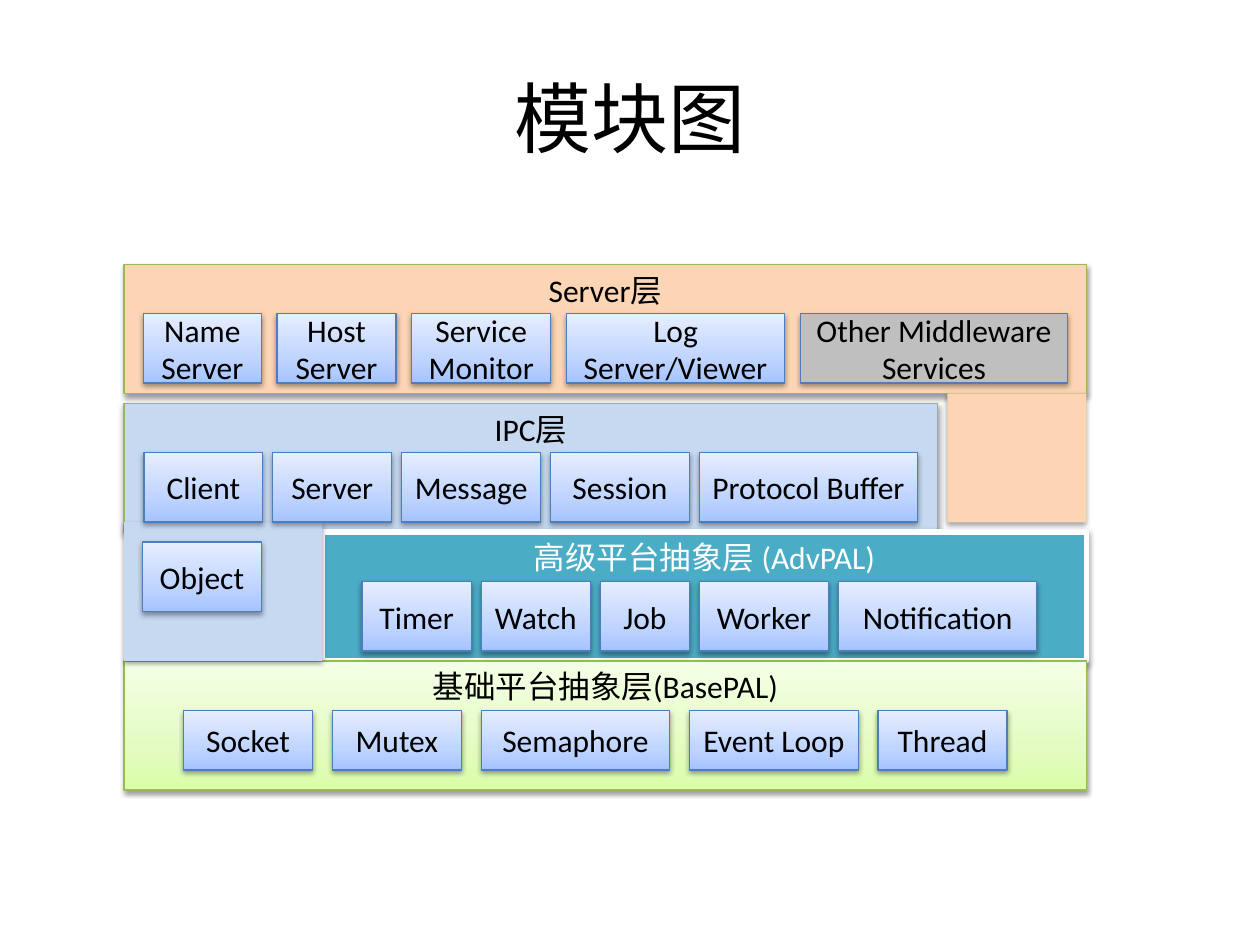
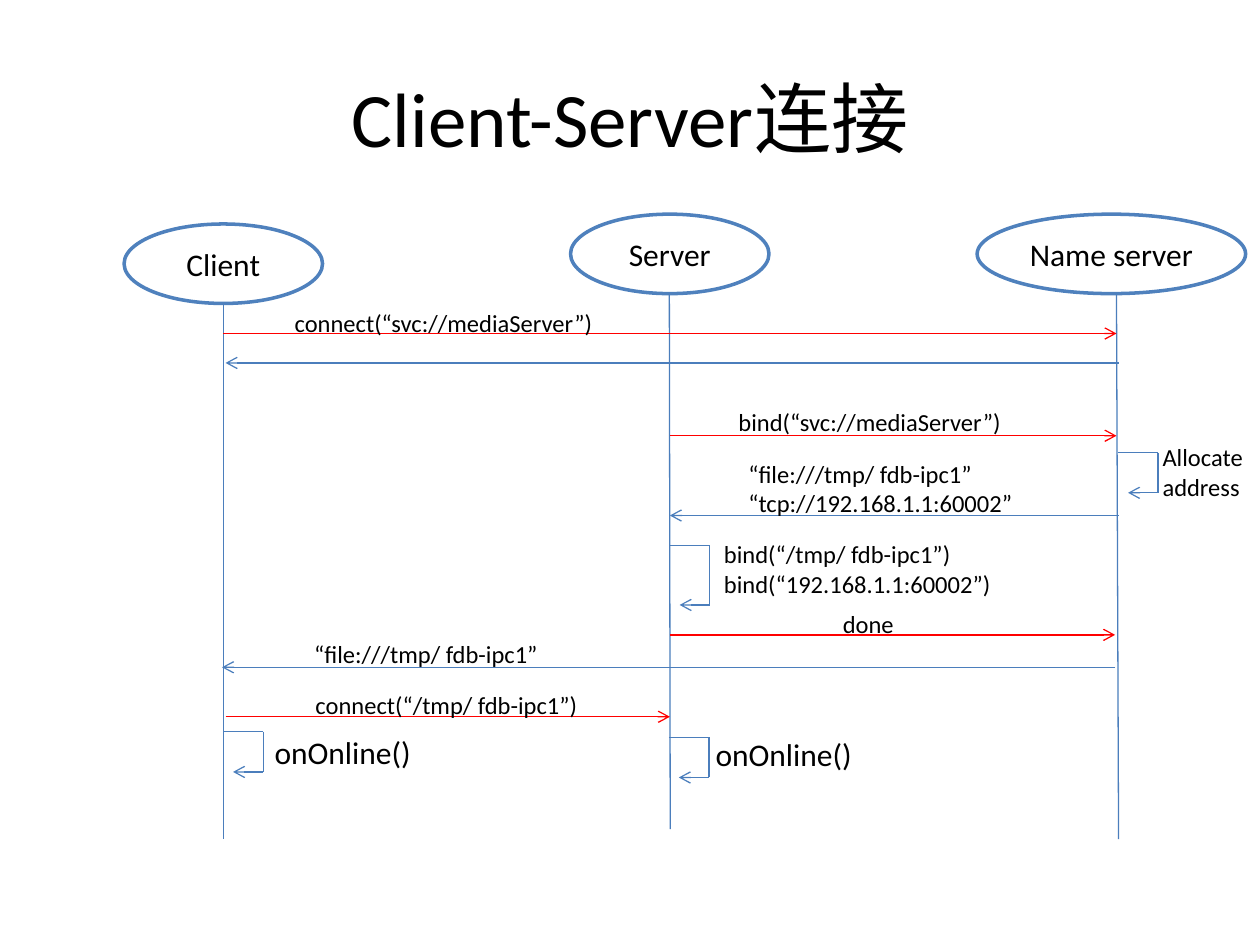
from copy import deepcopy

from lxml import etree
from pptx import Presentation
from pptx.dml import color as dml
from pptx.enum import shapes, text
from pptx.oxml import ns
from pptx.util import Pt

COLORS = {
    "ink": "000000", "paper": "FFFFFF", "peach": "FCD5B5", "pale": "C6D9F1",
    "teal": "4BACC6", "green": "98B955", "blue": "4B7EBC", "ring": "4F81BD",
    "grey": "BFBFBF", "red": "FF0000",
}
LIME = ("DAFDA7", "E4FCC2", "F5FFE7")
SKY = ("A4C4FF", "BFD4FF", "E6EEFF")
RGB = {name: dml.RGBColor.from_string(value) for name, value in COLORS.items()}
TOP, MIDDLE = text.MSO_ANCHOR.TOP, text.MSO_ANCHOR.MIDDLE
LEFT, CENTER = text.PP_ALIGN.LEFT, text.PP_ALIGN.CENTER


def write(shape, lines, size=18, ink="ink", anchor=MIDDLE, align=CENTER):
    frame = shape.text_frame
    frame.word_wrap = True
    frame.vertical_anchor = anchor
    for i, line in enumerate(lines):
        paragraph = frame.add_paragraph() if i else frame.paragraphs[0]
        paragraph.alignment = align
        run = paragraph.add_run()
        run.text = line
        run.font.name = "Calibri"
        run.font.size = Pt(size)
        run.font.color.rgb = RGB[ink]


def draw_line(slide, x1, y1, x2, y2, ink="blue", arrow=False):
    line = slide.shapes.add_connector(
        shapes.MSO_CONNECTOR.STRAIGHT, Pt(x1), Pt(y1), Pt(x2), Pt(y2))
    line.line.color.rgb = RGB[ink]
    line.line.width = Pt(0.75)
    if arrow:
        etree.SubElement(line.line._get_or_add_ln(), ns.qn("a:tailEnd"), type="arrow")
    etree.SubElement(line._element.spPr, ns.qn("a:effectLst"))


prs = Presentation()
prs.slide_width, prs.slide_height = Pt(720), Pt(540)

# Slides and their titles
slides = []
for heading in ("模块图", "Client-Server连接"):
    slide = prs.slides.add_slide(prs.slide_layouts[6])
    title = slide.shapes.add_textbox(Pt(36), Pt(21.6), Pt(648), Pt(90))
    write(title, [heading], size=44)
    slides.append(slide)
modules, sequence = slides

# Layer bands: left, top, width, height, fill, line, line width, label, ink, anchor
boxes = [
    (70.9, 151.2, 550, 73.7, "peach", "green", 0.75, "Server层", "ink", TOP),
    (70.9, 230.5, 465, 73.7, "pale", "green", 0.75, "IPC层", "ink", TOP),
    (184.3, 304, 436.5, 73.7, "teal", "paper", 3, "高级平台抽象层 (AdvPAL)", "paper", TOP),
    (70.9, 377.8, 550, 73.7, LIME, "green", 0.75, "基础平台抽象层(BasePAL)", "ink", TOP),
    # Extensions that give two layers their L shape
    (70.9, 298.2, 113.4, 79.4, "pale", None, 0, None, "ink", TOP),
    (541.4, 224.8, 79.4, 73.7, "peach", None, 0, None, "ink", TOP),
]

# Module rows: left, top, height, gap, (label, width) pairs
module_rows = [
    (104.9, 406, 34, 11.34, [("Socket", 73.7), ("Mutex", 73.7), ("Semaphore", 107.7),
                             ("Event Loop", 96.4), ("Thread", 73.7)]),
    (206.9, 332.4, 39.7, 5.67, [("Timer", 62.4), ("Watch", 62.4), ("Job", 51),
                                ("Worker", 73.7), ("Notification", 113.4)]),
    (82.2, 258.6, 39.7, 5.67, [("Client", 68), ("Server", 68), ("Message", 79.4),
                               ("Session", 79.4), ("Protocol Buffer", 124.7)]),
    (81.4, 309.7, 39.7, 0, [("Object", 68)]),
    (82, 179.2, 39.7, 9, [("Name Server", 67.3), ("Host Server", 68),
                          ("Service Monitor", 79.4), ("Log Server/Viewer", 124.7),
                          ("Other Middleware Services", 152.8)]),
]
for left, top, height, gap, row in module_rows:
    for label, width in row:
        fill = "grey" if label.startswith("Other") else SKY
        boxes.append((left, top, width, height, fill, "blue", 0.75, label, "ink", MIDDLE))
        left += width + gap

for left, top, width, height, fill, line, weight, label, ink, anchor in boxes:
    box = modules.shapes.add_shape(
        shapes.MSO_SHAPE.RECTANGLE, Pt(left), Pt(top), Pt(width), Pt(height))
    if isinstance(fill, tuple):
        box.fill.gradient()
        box.fill.gradient_angle = 90
        stop_list = box._element.spPr.find(".//" + ns.qn("a:gsLst"))
        stop_list.insert(1, deepcopy(stop_list[0]))
        for stop, shade, position in zip(box.fill.gradient_stops, fill, (0, 0.35, 1)):
            stop.color.rgb = dml.RGBColor.from_string(shade)
            stop.position = position
    else:
        box.fill.solid()
        box.fill.fore_color.rgb = RGB[fill]
    if line:
        box.line.color.rgb = RGB[line]
        box.line.width = Pt(weight)
    else:
        box.line.fill.background()
    box.shadow.inherit = False
    shadow = etree.SubElement(
        box._element.spPr.find(ns.qn("a:effectLst")), ns.qn("a:outerShdw"),
        blurRad="40000", dist="20000", dir="5400000", rotWithShape="0")
    shade = etree.SubElement(shadow, ns.qn("a:srgbClr"), val=COLORS["ink"])
    etree.SubElement(shade, ns.qn("a:alpha"), val="38000")
    if label:
        write(box, [label], ink=ink, anchor=anchor)

# Participants: name, left, top, width
for name, left, top, width in [("Client", 70.9, 128, 113.4), ("Server", 326, 122.4, 113.4),
                               ("Name server", 558.4, 122.4, 153.4)]:
    participant = sequence.shapes.add_shape(
        shapes.MSO_SHAPE.OVAL, Pt(left), Pt(top), Pt(width), Pt(45.4))
    participant.fill.solid()
    participant.fill.fore_color.rgb = RGB["paper"]
    participant.line.color.rgb = RGB["ring"]
    participant.line.width = Pt(2)
    participant.shadow.inherit = False
    write(participant, [name])

# Lifelines
client, server, name_server = 127.6, 382.8, 638.6
for x1, y1, x2, y2 in [(client, 173.5, client, 479.5), (382.5, 167.8, 383, 473.8),
                       (638, 167.8, 639.2, 479.5)]:
    draw_line(sequence, x1, y1, x2, y2)

# Messages: requests in red, replies in blue
for start, end, y, ink in [
    (client, 638, 190.6, "red"), (639.2, 128.9, 207.4, "blue"),
    (server, 638, 249, "red"), (639.2, server, 294.6, "blue"),
    (server, 637.2, 362.8, "red"), (637.2, 126.9, 381.3, "blue"),
    (128.9, server, 409.6, "red"),
]:
    draw_line(sequence, start, y, end, y, ink, arrow=True)

# Self calls: out to the right, down, and back
for x, top, height in [(server, 311.7, 34), (382.3, 421.3, 23),
                       (client, 418.1, 23), (639, 258.6, 23)]:
    edge, bottom = x + 22.8, top + height
    draw_line(sequence, x, top, edge, top)
    draw_line(sequence, edge, top, edge, bottom)
    draw_line(sequence, edge, bottom, x + 5.6, bottom, arrow=True)

# Message labels: left, top, width, size, lines
for left, top, width, size, lines in [
    (161.3, 172.3, 187, 14, ["connect(“svc://mediaServer”)"]),
    (414.9, 229.2, 167, 14, ["bind(“svc://mediaServer”)"]),
    (420.5, 258.7, 168, 14, ["“file:///tmp/ fdb-ipc1”", "“tcp://192.168.1.1:60002”"]),
    (406.6, 304.6, 170, 14, ["bind(“/tmp/ fdb-ipc1”)", "bind(“192.168.1.1:60002”)"]),
    (474.5, 344.2, 46, 14, ["done"]),
    (172.4, 361.4, 145, 14, ["“file:///tmp/ fdb-ipc1”"]),
    (173.2, 390.5, 167, 14, ["connect(“/tmp/ fdb-ipc1”)"]),
    (149.8, 415.6, 124.6, 18, ["onOnline()"]),
    (401.8, 416.6, 124.6, 18, ["onOnline()"]),
    (657.2, 249.1, 62.8, 14, ["Allocate address"]),
]:
    height = 7.2 + 1.2 * size * len(lines)
    label = sequence.shapes.add_textbox(Pt(left), Pt(top), Pt(width), Pt(height))
    write(label, lines, size=size, anchor=TOP, align=LEFT)

prs.save("out.pptx")
